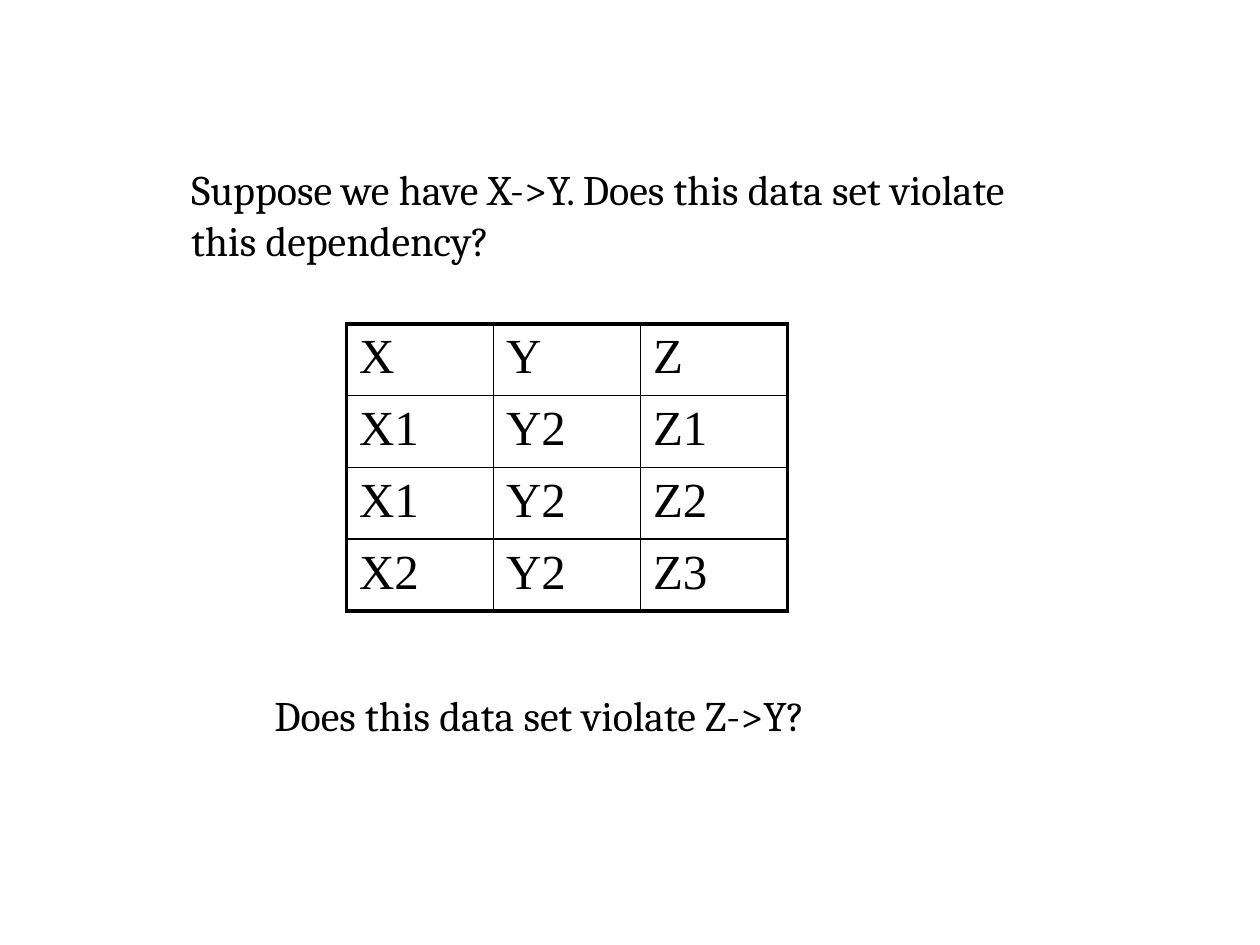
from lxml.etree import SubElement
from pptx import Presentation
from pptx.dml.color import RGBColor
from pptx.oxml.ns import qn
from pptx.util import Inches, Pt

BLACK = "000000"
ROWS = [
    ("X", "Y", "Z"),
    ("X1", "Y2", "Z1"),
    ("X1", "Y2", "Z2"),
    ("X2", "Y2", "Z3"),
]
TABLE_LEFT, TABLE_TOP = 2.75, 2.57
COL_WIDTH, ROW_HEIGHT = 3.5 / 3, 0.57
OUTER, INNER = 2.25, 1
QUESTIONS = [  # text, left, top, width, height
    ("Suppose we have X->Y. Does this data set violate this dependency?",
     1.42, 1.25, 6.83, 0.91),
    ("Does this data set violate Z->Y?", 2.08, 5.42, 5.42, 0.5),
]


def style(p, size, font, color=BLACK):
    for r in p.runs:
        r.font.size = Pt(size)
        r.font.name = font
        r.font.color.rgb = RGBColor.from_string(color)


def space_before(p, percent):
    """Set paragraph spacing relative to the text size."""
    spacing = SubElement(p._p.get_or_add_pPr(), qn("a:spcBef"))
    SubElement(spacing, qn("a:spcPct")).set("val", str(percent * 1000))


def set_borders(cell, widths, color=BLACK):
    """Draw borders in the order left, right, top, bottom."""
    tcPr = cell._tc.get_or_add_tcPr()
    for side, width in zip("LRTB", widths):
        ln = SubElement(tcPr, qn(f"a:ln{side}"), w=str(Pt(width)))
        fill = SubElement(ln, qn("a:solidFill"))
        SubElement(fill, qn("a:srgbClr"), val=color)


def add_data_table(s):
    n_rows, n_cols = len(ROWS), len(ROWS[0])
    table = s.shapes.add_table(
        n_rows, n_cols, Inches(TABLE_LEFT), Inches(TABLE_TOP),
        Inches(n_cols * COL_WIDTH), Inches(n_rows * ROW_HEIGHT)).table
    table.first_row = table.horz_banding = False
    for i, row in enumerate(ROWS):
        for j, text in enumerate(row):
            cell = table.cell(i, j)
            cell.text = text
            p = cell.text_frame.paragraphs[0]
            style(p, 28, "Times New Roman")
            space_before(p, 20)
            edges = (j == 0, j == n_cols - 1, i == 0, i == n_rows - 1)
            set_borders(cell, [OUTER if edge else INNER for edge in edges])
            cell.fill.background()


def add_question(s, text, *box):
    tf = s.shapes.add_textbox(*map(Inches, box)).text_frame
    tf.word_wrap = True
    tf.text = text
    style(tf.paragraphs[0], 24, "Cambria")


def main():
    prs = Presentation()
    prs.slide_width, prs.slide_height = Inches(10), Inches(7.5)
    s = prs.slides.add_slide(prs.slide_layouts[6])
    add_data_table(s)
    for question in QUESTIONS:
        add_question(s, *question)
    prs.save("out.pptx")


if __name__ == "__main__":
    main()
